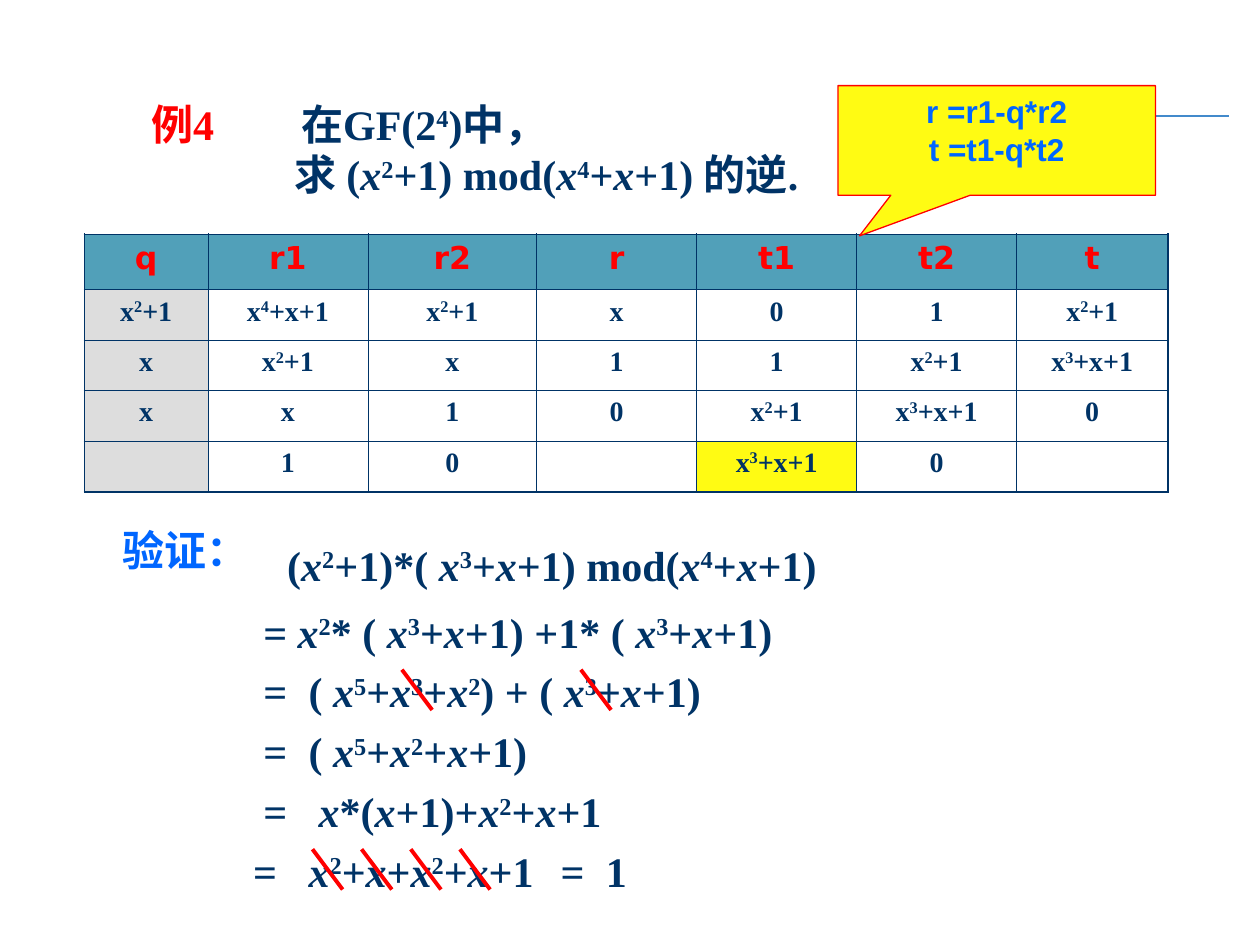
from itertools import groupby

from lxml import etree
from pptx import Presentation
from pptx.dml.color import RGBColor
from pptx.enum.shapes import MSO_CONNECTOR, MSO_SHAPE
from pptx.enum.text import MSO_ANCHOR, MSO_AUTO_SIZE, PP_ALIGN
from pptx.oxml.ns import qn
from pptx.util import Inches, Pt

LEFT, CENTER = PP_ALIGN.LEFT, PP_ALIGN.CENTER
TOP, NO_FIT = MSO_ANCHOR.TOP, MSO_AUTO_SIZE.NONE
CALLOUT, STRAIGHT = MSO_SHAPE.RECTANGULAR_CALLOUT, MSO_CONNECTOR.STRAIGHT

THEME = dict(
    navy="003366", red="FF0000", blue="0066FF", yellow="FFFB13", teal="51A0B9",
    gray="DDDDDD", white="FFFFFF", rule="438ACB",
    serif="Times New Roman", sans="Arial", head="DejaVu Sans",
    formula=24, header=18, cell=16, thick=1.08, thin=0.45, strike=2.25,
)

# Content: ^ raises the digit that follows it
TITLE = ["在GF(2^4)中，", "求 (x^2+1) mod(x^4+x+1) 的逆."]
TITLE_INDENTS = [0.22, 0.17]
RULES = ["r =r1-q*r2", "t =t1-q*t2"]
COLUMNS = [("q", 0.98), ("r1", 1.27), ("r2", 1.34), ("r", 1.27),
           ("t1", 1.27), ("t2", 1.27), ("t", 1.2)]
ROWS = [
    ["x^2+1", "x^4+x+1", "x^2+1", "x", "0", "1", "x^2+1"],
    ["x", "x^2+1", "x", "1", "1", "x^2+1", "x^3+x+1"],
    ["x", "x", "1", "0", "x^2+1", "x^3+x+1", "0"],
    ["", "1", "0", "", "x^3+x+1", "0", ""],
]
RESULT_CELL = (4, 4)
LABELS = [("例4", 1.12, 0.74, "red"), ("验证：", 0.89, 4.12, "blue")]
PRODUCT = "(x^2+1)*( x^3+x+1) mod(x^4+x+1)"
STEPS = [  # text, left, tab stop after the equals sign
    ("= x^2* ( x^3+x+1) +1* ( x^3+x+1)", 2.01, None),
    ("=\t( x^5+x^3+x^2) + ( x^3+x+1)", 2.01, 0.36),
    ("=\t( x^5+x^2+x+1)", 2.01, 0.36),
    ("=\tx*(x+1)+x^2+x+1", 2.01, 0.44),
    ("=\tx^2+x+x^2+x+1", 1.93, 0.44),
]
STEP_TOP, STEP_PITCH = 4.77, 0.475
STRIKES = {1: [3.19, 4.61], 4: [2.48 + 0.39 * i for i in range(4)]}


def rgb(name):
    return RGBColor.from_string(THEME[name])


def split_runs(text, italic_x):
    """Yield (text, italic, raised) for each stretch of equal format."""
    marked = []
    raised = False
    for ch in text:
        if ch == "^":
            raised = True
            continue
        marked.append((ch, italic_x and ch == "x", raised))
        raised = False
    for (italic, sup), group in groupby(marked, key=lambda m: m[1:]):
        yield "".join(m[0] for m in group), italic, sup


def write(tf, lines, size="formula", color="navy", font="serif", align=LEFT,
          italic_x=False, indents=(), tab=None):
    for i, line in enumerate(lines):
        p = tf.paragraphs[0] if i == 0 else tf.add_paragraph()
        p.alignment = align
        pPr = p._p.get_or_add_pPr()
        if indents:
            pPr.set("marL", str(Inches(indents[i])))
            pPr.set("indent", "0")
        if tab:
            tabs = etree.SubElement(pPr, qn("a:tabLst"))
            etree.SubElement(tabs, qn("a:tab"), pos=str(Inches(tab)), algn="l")
        for text, italic, sup in split_runs(line, italic_x):
            r = p.add_run()
            r.text = text
            r.font.name, r.font.size = THEME[font], Pt(THEME[size])
            r.font.bold, r.font.italic = True, italic
            r.font.color.rgb = rgb(color)
            if sup:
                r._r.get_or_add_rPr().set("baseline", "30000")


def set_frame(tf, dx=0.08, dy=0.04):
    tf.word_wrap, tf.auto_size, tf.vertical_anchor = True, NO_FIT, TOP
    tf.margin_left = tf.margin_right = Inches(dx)
    tf.margin_top = tf.margin_bottom = Inches(dy)
    return tf


def add_text(s, text, left, top, width=6.3, **fmt):
    box = s.shapes.add_textbox(Inches(left), Inches(top), Inches(width), Inches(0.48))
    write(set_frame(box.text_frame), [text], **fmt)


def add_line(s, x1, y1, x2, y2, color, width):
    line = s.shapes.add_connector(STRAIGHT, Inches(x1), Inches(y1), Inches(x2), Inches(y2))
    line.line.color.rgb, line.line.width = rgb(color), Pt(width)
    etree.SubElement(line._element.spPr, qn("a:effectLst"))


def set_borders(cell, widths):
    tcPr = cell._tc.get_or_add_tcPr()
    for i, (side, width) in enumerate(widths.items()):
        ln = etree.Element(qn(f"a:ln{side}"), w=str(Pt(width)))
        fill = etree.SubElement(ln, qn("a:solidFill"))
        etree.SubElement(fill, qn("a:srgbClr"), val=THEME["navy"])
        tcPr.insert(i, ln)


def add_steps_table(s):
    grid = [[name for name, _ in COLUMNS]] + ROWS
    last_row, last_col = len(grid) - 1, len(COLUMNS) - 1
    table = s.shapes.add_table(len(grid), len(COLUMNS), Inches(0.67), Inches(1.86),
                               Inches(8.6), Inches(2.04)).table
    for col, (_, width) in zip(table.columns, COLUMNS):
        col.width = Inches(width)
    for r, values in enumerate(grid):
        table.rows[r].height = Inches(0.4 if r else 0.44)
        for c, value in enumerate(values):
            cell = table.cell(r, c)
            fill = ("teal" if r == 0 else "gray" if c == 0
                    else "yellow" if (r, c) == RESULT_CELL else "white")
            cell.fill.solid()
            cell.fill.fore_color.rgb = rgb(fill)
            fmt = {} if r else dict(color="red", font="head")
            write(cell.text_frame, [value], size="cell" if r else "header",
                  align=CENTER, **fmt)
            outer = {"L": c == 0, "R": c == last_col, "T": r == 0, "B": r == last_row}
            set_borders(cell, {side: THEME["thick" if edge else "thin"]
                               for side, edge in outer.items()})


def add_rules_callout(s):
    sp = s.shapes.add_shape(CALLOUT, Inches(6.65), Inches(0.68), Inches(2.52), Inches(0.87))
    sp.adjustments[0], sp.adjustments[1] = -0.432, 0.871
    sp.shadow.inherit = False
    sp.fill.solid()
    sp.fill.fore_color.rgb = rgb("yellow")
    sp.line.color.rgb, sp.line.width = rgb("red"), Pt(0.75)
    write(set_frame(sp.text_frame, 0.1, 0.05), RULES, size="header", color="blue",
          font="sans", align=CENTER)


def main():
    prs = Presentation()
    prs.slide_width, prs.slide_height = Inches(10), Inches(7.5)
    s = prs.slides.add_slide(prs.slide_layouts[5])

    # Header rule and title
    add_line(s, 8.75, 0.92, 9.75, 0.92, "rule", 0.75)
    title = s.shapes.title
    title.left, title.top = Inches(2.09), Inches(0.74)
    title.width, title.height = Inches(6.3), Inches(0.96)
    write(set_frame(title.text_frame), TITLE, italic_x=True, indents=TITLE_INDENTS)

    # Table and its rules
    add_steps_table(s)
    add_rules_callout(s)

    # Labels and verification
    for text, left, top, color in LABELS:
        add_text(s, text, left, top, width=1.2, color=color)
    add_text(s, PRODUCT, 2.2, 4.24, italic_x=True)
    for i, (text, left, tab) in enumerate(STEPS):
        top = STEP_TOP + i * STEP_PITCH
        add_text(s, text, left, top, italic_x=True, tab=tab)
        for x in STRIKES.get(i, []):
            add_line(s, x, top + 0.07, x + 0.24, top + 0.39, "red", THEME["strike"])
    add_text(s, "=\t1", 4.37, STEP_TOP + 4 * STEP_PITCH, width=1.1, tab=0.36)

    prs.save("out.pptx")


if __name__ == "__main__":
    main()
